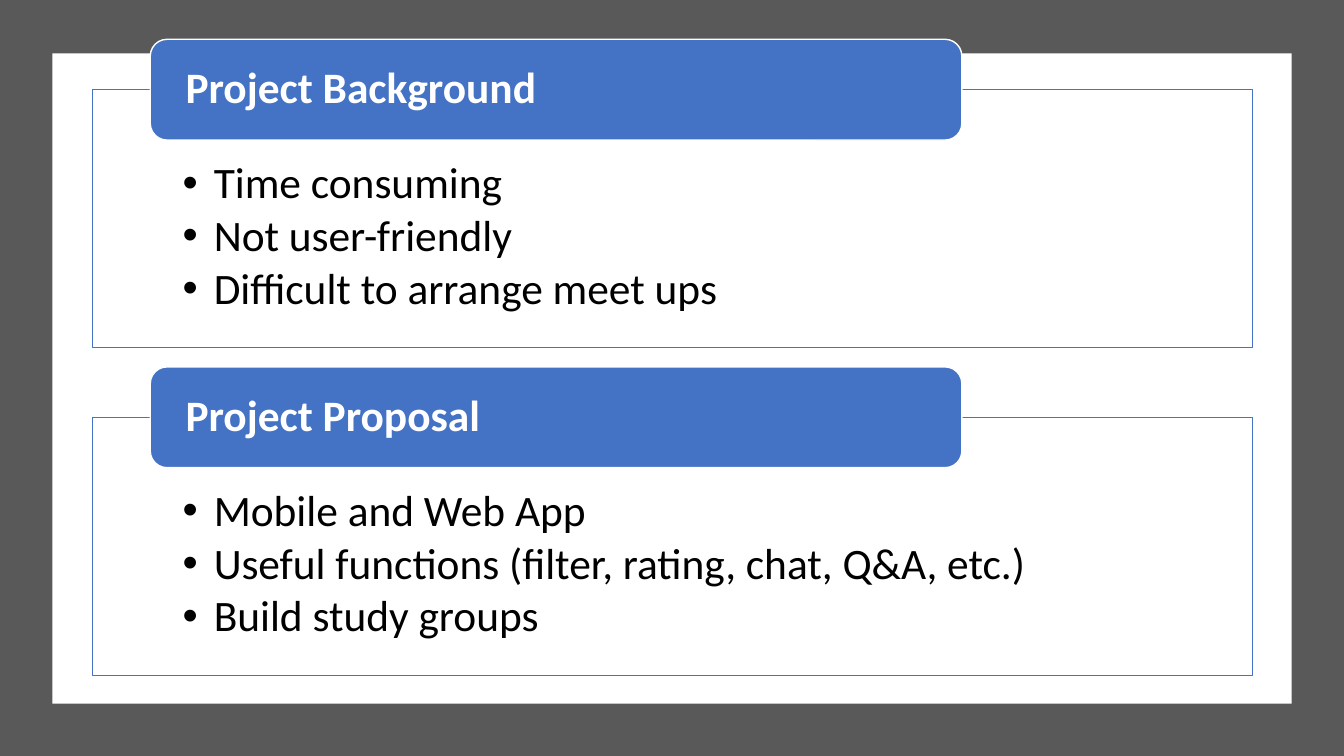
from pptx import Presentation
from pptx.dml.color import RGBColor
from pptx.enum import shapes, text
from pptx.util import Inches, Pt

GREY = RGBColor(0x59, 0x59, 0x59)
WHITE = RGBColor(0xFF, 0xFF, 0xFF)
BLUE = RGBColor(0x44, 0x72, 0xC4)
BLACK = RGBColor(0, 0, 0)

WIDTH, HEIGHT = 13.33, 7.5
SECTIONS = [
    ("Project Background",
     ["Time consuming", "Not user-friendly", "Difficult to arrange meet ups"]),
    ("Project Proposal",
     ["Mobile and Web App",
      "Useful functions (filter, rating, chat, Q&A, etc.)",
      "Build study groups"]),
]
SECTION_TOP, SECTION_PITCH = 0.39, 3.25
PARAGRAPH = dict(line_spacing=0.9, space_before=Pt(0),
                 alignment=text.PP_ALIGN.LEFT)


def set_all(obj, values):
    for name, value in values.items():
        setattr(obj, name, value)


def paint(sp, fill, line=None):
    sp.fill.solid()
    sp.fill.fore_color.rgb = fill
    if line is None:
        sp.line.fill.background()
    else:
        sp.line.color.rgb = line
        sp.line.width = Pt(1)


def add_block(s, kind, box, fill, line=None):
    sp = s.shapes.add_shape(kind, *map(Inches, box))
    sp.shadow.inherit = False
    paint(sp, fill, line)


def fill_placeholder(s, ph, box, insets, anchor, lines, font, space_after):
    """Bring a placeholder to the front, place it and write its lines."""
    s.shapes._spTree.append(ph._element)
    set_all(ph, dict(zip(("left", "top", "width", "height"), map(Inches, box))))
    tf = ph.text_frame
    sides = ("margin_left", "margin_top", "margin_right", "margin_bottom")
    set_all(tf, dict(zip(sides, map(Inches, insets))))
    set_all(tf, dict(word_wrap=True, auto_size=text.MSO_AUTO_SIZE.NONE,
                     vertical_anchor=anchor))
    tf.text = "\n".join(lines)
    for p in tf.paragraphs:
        set_all(p, dict(PARAGRAPH, space_after=Pt(space_after)))
        r = p.runs[0]
        set_all(r.font, dict(name="Calibri", size=Pt(31), bold=font["bold"]))
        r.font.color.rgb = font["color"]


def add_backdrop(s, x, y, w, h):
    rect = shapes.MSO_SHAPE.RECTANGLE
    add_block(s, rect, (x, y, w, h), GREY)
    add_block(s, rect, (x + 0.52, y + 0.53, w - 1.04, h - 1.05), WHITE)


def add_section(s, heading_ph, list_ph, heading, items, x, y, w, h):
    """Bordered list with a rounded heading tab across its top edge."""
    fill_placeholder(s, list_ph, (x, y + 0.5, w, h - 0.5),
                     (0.89, 0.71, 0.89, 0.24), text.MSO_ANCHOR.TOP, items,
                     dict(bold=False, color=BLACK), 4.2)
    paint(list_ph, WHITE, BLUE)
    for p in list_ph.text_frame.paragraphs:
        pPr = p._p.get_or_add_pPr()
        pPr.set("marL", str(Inches(0.31)))
        pPr.set("indent", str(Inches(-0.31)))

    tab = (x + 0.57, y, w * 0.7, 1)
    add_block(s, shapes.MSO_SHAPE.ROUNDED_RECTANGLE, tab, BLUE, WHITE)
    fill_placeholder(s, heading_ph, tab, (0.35, 0, 0.35, 0),
                     text.MSO_ANCHOR.MIDDLE, [heading],
                     dict(bold=True, color=WHITE), 0)


def main():
    prs = Presentation()
    prs.slide_width, prs.slide_height = Inches(WIDTH), Inches(HEIGHT)
    s = prs.slides.add_slide(prs.slide_layouts.get_by_name("Comparison"))
    title, *phs = s.placeholders
    s.shapes._spTree.remove(title._element)

    add_backdrop(s, 0, 0, WIDTH, HEIGHT)
    for i, (heading, items) in enumerate(SECTIONS):
        add_section(s, phs[2 * i], phs[2 * i + 1], heading, items,
                    0.92, SECTION_TOP + i * SECTION_PITCH, 11.5, 3.06)
    prs.save("out.pptx")


if __name__ == "__main__":
    main()
